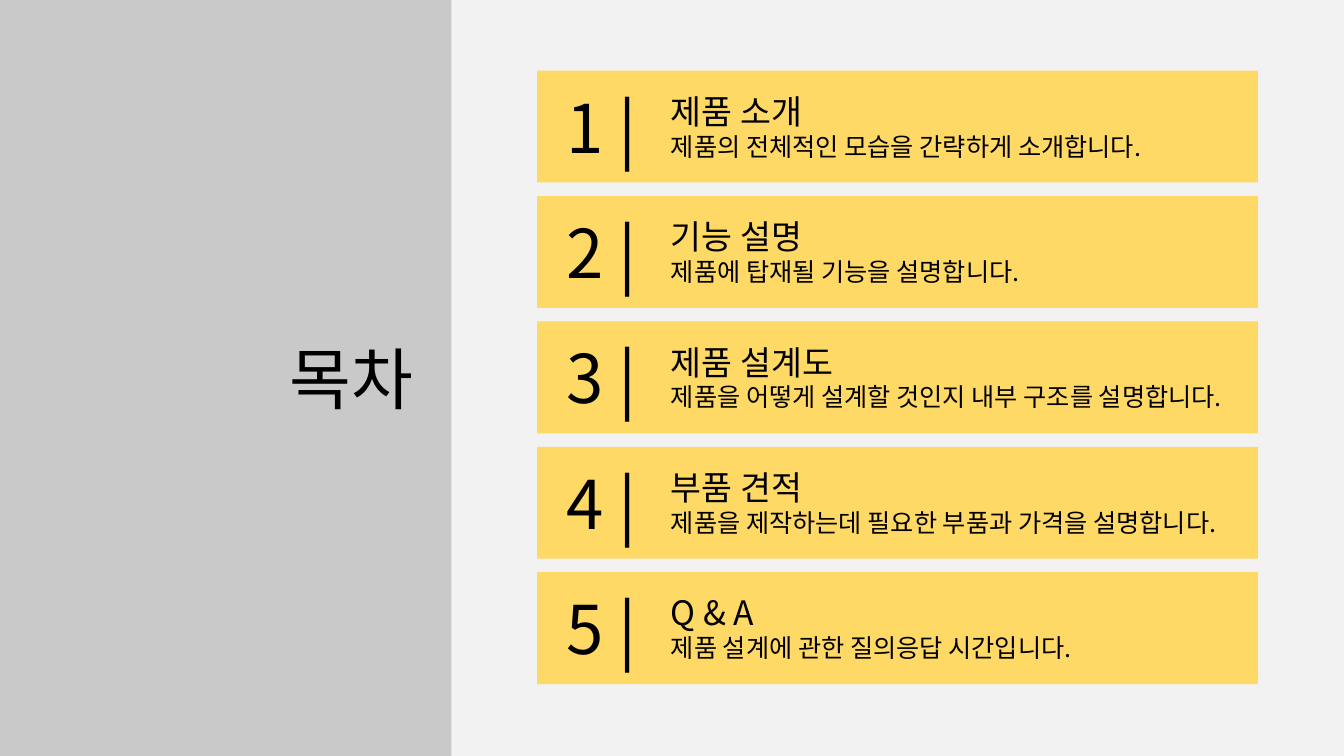
from dataclasses import dataclass

from lxml.etree import SubElement
from pptx import Presentation
from pptx.dml.color import RGBColor as RGB
from pptx.enum.shapes import MSO_SHAPE as Shape
from pptx.enum.text import MSO_AUTO_SIZE as Auto, PP_ALIGN as Align
from pptx.oxml.ns import qn
from pptx.util import Cm, Pt

FONT = "Noto Sans CJK KR"
GOLD, GREY, PALE, BLACK = "FFD966", "C9C9C9", "F2F2F2", "000000"
TOP, STEP = 1.78, 3.16


@dataclass
class Item:
    title: str
    note: str
    width: float


@dataclass
class Box:
    left: float
    top: float
    width: float
    height: float


ITEMS = [
    Item("제품 소개", "제품의 전체적인 모습을 간략하게 소개합니다.", 12.4),
    Item("기능 설명", "제품에 탑재될 기능을 설명합니다.", 9.32),
    Item("제품 설계도", "제품을 어떻게 설계할 것인지 내부 구조를 설명합니다.", 14.45),
    Item("부품 견적", "제품을 제작하는데 필요한 부품과 가격을 설명합니다.", 14.3),
    Item("Q & A", "제품 설계에 관한 질의응답 시간입니다.", 10.64),
]


def paint(fill, color: str) -> None:
    fill.solid()
    fill.fore_color.rgb = RGB.from_string(color)


def add_block(shapes, box: Box, color: str):
    block = shapes.add_shape(Shape.RECTANGLE, Cm(box.left), Cm(box.top),
                             Cm(box.width), Cm(box.height))
    paint(block.fill, color)
    block.line.fill.background()
    block.shadow.inherit = False


def add_text(shapes, box: Box, color: str, lines: list[tuple[str, int]],
             align: Align = Align.LEFT) -> None:
    label = shapes.add_textbox(Cm(box.left), Cm(box.top),
                               Cm(box.width), Cm(box.height))
    paint(label.fill, color)
    frame = label.text_frame
    frame.word_wrap = False
    frame.auto_size = Auto.SHAPE_TO_FIT_TEXT
    frame.text = "\n".join(text for text, _ in lines)
    for para, (_, size) in zip(frame.paragraphs, lines):
        para.alignment = align
        font = para.font
        font.size = Pt(size)
        font.name = FONT
        paint(font.fill, BLACK)
        # Hangul takes the East Asian typeface
        props = para._p.pPr.find(qn("a:defRPr"))
        SubElement(props, qn("a:ea")).set("typeface", FONT)


def add_item(shapes, rank: int, item: Item) -> None:
    top = TOP + (rank - 1) * STEP
    group = shapes.add_group_shape().shapes
    add_block(group, Box(13.54, top, 18.16, 2.82), GOLD)
    add_text(group, Box(16.66, top + 0.38, item.width, 2.06), GOLD,
             [(item.title, 24), (item.note, 18)])
    add_text(group, Box(14.02, top + 0.26, 2.41, 2.31), GOLD,
             [(f"{rank} |", 48)])


def main() -> None:
    deck = Presentation()
    deck.slide_width, deck.slide_height = Cm(33.87), Cm(19.05)
    slide = deck.slides.add_slide(deck.slide_layouts[6])
    paint(slide.background.fill, PALE)

    # Contents list
    for rank, item in enumerate(ITEMS, 1):
        add_item(slide.shapes, rank, item)

    # Side panel with the heading
    add_block(slide.shapes, Box(0, 0, 11.38, 19.05), GREY)
    add_text(slide.shapes, Box(7.04, 8.38, 3.63, 2.31), GREY,
             [("목차", 48)], Align.RIGHT)

    deck.save("out.pptx")


if __name__ == "__main__":
    main()
